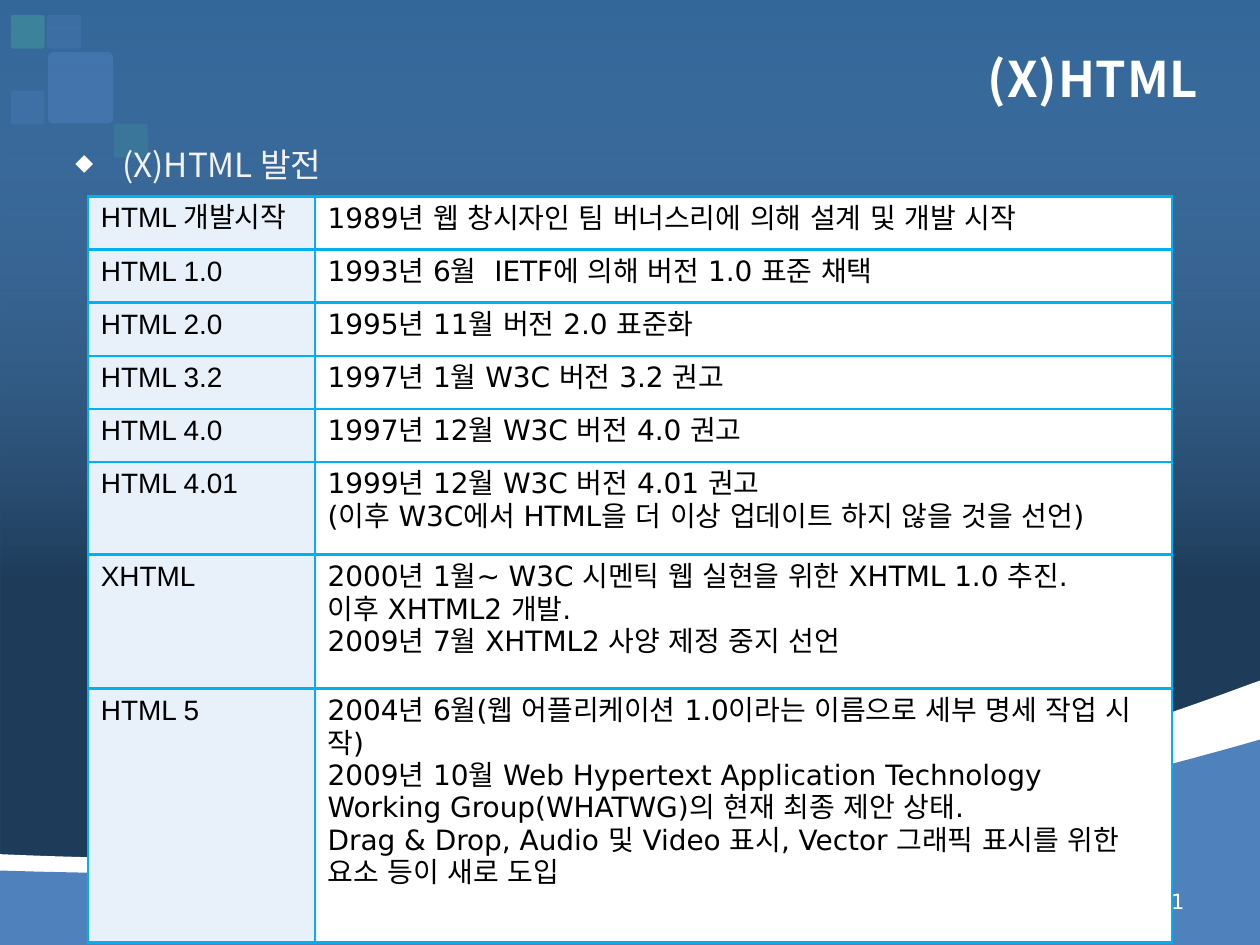
from lxml.etree import SubElement
from pptx import Presentation
from pptx.dml.color import RGBColor
from pptx.enum.shapes import MSO_SHAPE as Shape
from pptx.enum.text import MSO_ANCHOR as Anchor, PP_ALIGN as Align
from pptx.oxml.ns import qn
from pptx.util import Cm, Pt

COLORS = {
    "base": "336699", "sky": "8DB3E2", "black": "000000", "white": "FFFFFF",
    "blue": "4F81BD", "teal": "3F949A", "heading": "F2F2F2",
    "border": "00B0F0", "label": "E8F0F9",
}
KOREAN, LATIN, LABEL = "Noto Sans CJK KR", "DejaVu Sans", "Arial"
WIDTH, HEIGHT = 25.4, 19.05

# Each wave: start point, then cubic segments of two controls and an end
WAVES = [
    ("white", (0, 17.22), [((4.09, 17.4), (7.44, 17.32), (13.23, 16.74)),
                           ((19.02, 16.15), (24.08, 14.2), (25.4, 13.72))]),
    ("blue", (0, 17.55), [((6.25, 17.75), (11.3, 17.42), (15.62, 16.97)),
                          ((19.91, 16.48), (24.36, 15.21), (25.4, 14.91))]),
]
# Left, top, width, height, colour, opacity in percent
SQUARES = [
    (0.95, 0.3, 0.68, 0.68, "blue", 30),
    (0.22, 1.83, 0.68, 0.68, "blue", 30),
    (0.22, 0.3, 0.68, 0.68, "teal", 60),
    (2.3, 2.5, 0.68, 0.68, "teal", 30),
    (0.97, 1.05, 1.31, 1.44, "blue", 50),
]
# Label, row height, lines
HISTORY = [
    ("HTML 개발시작", 1.07, ["1989년 웹 창시자인 팀 버너스리에 의해 설계 및 개발 시작"]),
    ("HTML 1.0", 1.07, ["1993년 6월  IETF에 의해 버전 1.0 표준 채택"]),
    ("HTML 2.0", 1.07, ["1995년 11월 버전 2.0 표준화"]),
    ("HTML 3.2", 1.07, ["1997년 1월 W3C 버전 3.2 권고"]),
    ("HTML 4.0", 1.07, ["1997년 12월 W3C 버전 4.0 권고"]),
    ("HTML 4.01", 1.87, ["1999년 12월 W3C 버전 4.01 권고",
                         "(이후 W3C에서 HTML을 더 이상 업데이트 하지 않을 것을 선언)"]),
    ("XHTML", 2.7, ["2000년 1월~ W3C 시멘틱 웹 실현을 위한 XHTML 1.0 추진.",
                    "이후 XHTML2 개발.",
                    "2009년 7월 XHTML2 사양 제정 중지 선언"]),
    ("HTML 5", 5.12, [
        "2004년 6월(웹 어플리케이션 1.0이라는 이름으로 세부 명세 작업 시작)",
        "2009년 10월 Web Hypertext Application Technology Working Group(WHATWG)의 "
        "현재 최종 제안 상태.",
        "Drag & Drop, Audio 및 Video 표시, Vector 그래픽 표시를 위한 요소 등이 새로 도입"]),
]


def rgb(name):
    return RGBColor.from_string(COLORS[name])


def set_alpha(color_element, percent):
    SubElement(color_element, qn("a:alpha"), val=str(percent * 1000))


def paint(shape, color, opacity=100):
    shape.shadow.inherit = False
    shape.line.fill.background()
    shape.fill.solid()
    shape.fill.fore_color.rgb = rgb(color)
    if opacity < 100:
        set_alpha(shape._element.spPr.find(qn("a:solidFill"))[0], opacity)


def write(paragraph, text, font_name, size, color, **formats):
    run = paragraph.add_run()
    run.text = text
    values = {"name": font_name, "size": Pt(size), **formats}
    for attribute, value in values.items():
        setattr(run.font, attribute, value)
    run.font.color.rgb = rgb(color)
    SubElement(run.font._element, qn("a:ea"), typeface=font_name)
    return run


def add_text_box(slide, box, anchor):
    frame = slide.shapes.add_textbox(*map(Cm, box)).text_frame
    frame.word_wrap = True
    frame.vertical_anchor = anchor
    return frame.paragraphs[0]


def curve_points(start, segments, steps=24):
    for first, second, end in segments:
        for step in range(1, steps + 1):
            t = step / steps
            weights = ((1 - t) ** 3, 3 * t * (1 - t) ** 2, 3 * t * t * (1 - t), t ** 3)
            yield tuple(sum(weight * point[axis] for weight, point
                            in zip(weights, (start, first, second, end)))
                        for axis in (0, 1))
        start = end


def add_backdrop(slide, box):
    left, top, width, height = box
    slide.background.fill.solid()
    slide.background.fill.fore_color.rgb = rgb("base")

    # Darkening towards the bottom
    shade = slide.shapes.add_shape(Shape.RECTANGLE, *map(Cm, box))
    shade.shadow.inherit = False
    shade.line.fill.background()
    shade.fill.gradient()
    shade.fill.gradient_angle = 270
    for stop, (position, color, opacity) in zip(
            shade.fill.gradient_stops, [(0, "sky", 0), (0.61, "black", 40)]):
        stop.position = position
        stop.color.rgb = rgb(color)
        set_alpha(stop._gs[0], opacity)

    # Waves along the bottom edge
    for color, start, segments in WAVES:
        points = [*curve_points(start, segments), (width, height), (0, height)]
        builder = slide.shapes.build_freeform(
            Cm(left + start[0]), Cm(top + start[1]))
        builder.add_line_segments(
            [(Cm(left + x), Cm(top + y)) for x, y in points], close=True)
        paint(builder.convert_to_shape(), color)

    # Translucent squares in the corner
    for x, y, w, h, color, opacity in SQUARES:
        square = slide.shapes.add_shape(
            Shape.ROUNDED_RECTANGLE, Cm(left + x), Cm(top + y), Cm(w), Cm(h))
        square.adjustments[0] = 0.08
        paint(square, color, opacity)


def add_title(slide, box):
    paragraph = add_text_box(slide, box, Anchor.MIDDLE)
    paragraph.alignment = Align.RIGHT
    run = write(paragraph, "(X)HTML", KOREAN, 28, "white", bold=True)
    run.font._element.set("spc", "50")


def add_heading(slide, box):
    paragraph = add_text_box(slide, box, Anchor.TOP)
    paragraph.line_spacing = 1.5
    paragraph.space_before = Pt(4)
    properties = paragraph._p.get_or_add_pPr()
    properties.set("marL", str(Cm(0.95)))
    properties.set("indent", str(Cm(-0.95)))
    bullet_color = SubElement(properties, qn("a:buClr"))
    SubElement(bullet_color, qn("a:srgbClr"), val=COLORS["white"])
    SubElement(properties, qn("a:buSzPct"), val="70000")
    SubElement(properties, qn("a:buChar"), char="◆")
    write(paragraph, "(X)HTML 발전", KOREAN, 19, "heading")


def add_page_number(slide, box):
    paragraph = add_text_box(slide, box, Anchor.MIDDLE)
    paragraph.alignment = Align.RIGHT
    write(paragraph, "31", LATIN, 12, "white")


def fill_cell(cell, lines, font_name, color):
    properties = cell._tc.get_or_add_tcPr()
    for side in ("lnL", "lnR", "lnT", "lnB"):
        line = SubElement(properties, qn(f"a:{side}"), w=str(Pt(1.5)))
        solid = SubElement(line, qn("a:solidFill"))
        SubElement(solid, qn("a:srgbClr"), val=COLORS["border"])
    cell.fill.solid()
    cell.fill.fore_color.rgb = rgb(color)
    frame = cell.text_frame
    for index, text in enumerate(lines):
        paragraph = frame.add_paragraph() if index else frame.paragraphs[0]
        write(paragraph, text, font_name, 16, "black", bold=False)


def add_history_table(slide, box):
    table = slide.shapes.add_table(len(HISTORY), 2, *map(Cm, box)).table
    label_width = 4.57
    table.columns[0].width = Cm(label_width)
    table.columns[1].width = Cm(box[2] - label_width)
    for row, (label, height, lines) in zip(table.rows, HISTORY):
        row.height = Cm(height)
        fill_cell(row.cells[0], [label], LABEL, "label")
        fill_cell(row.cells[1], lines, LATIN, "white")


def main():
    presentation = Presentation()
    presentation.slide_width, presentation.slide_height = Cm(WIDTH), Cm(HEIGHT)
    slide = presentation.slides.add_slide(presentation.slide_layouts[6])
    add_backdrop(slide, (0, 0, WIDTH, HEIGHT))
    add_heading(slide, (1.27, 2.39, 23.14, 16.08))
    add_title(slide, (1.27, 0.76, 23.14, 1.63))
    add_page_number(slide, (18.21, 17.65, 5.92, 1.02))
    table_height = sum(height for _, height, _ in HISTORY)
    add_history_table(slide, (1.78, 3.96, 21.84, table_height))
    presentation.save("out.pptx")


if __name__ == "__main__":
    main()
